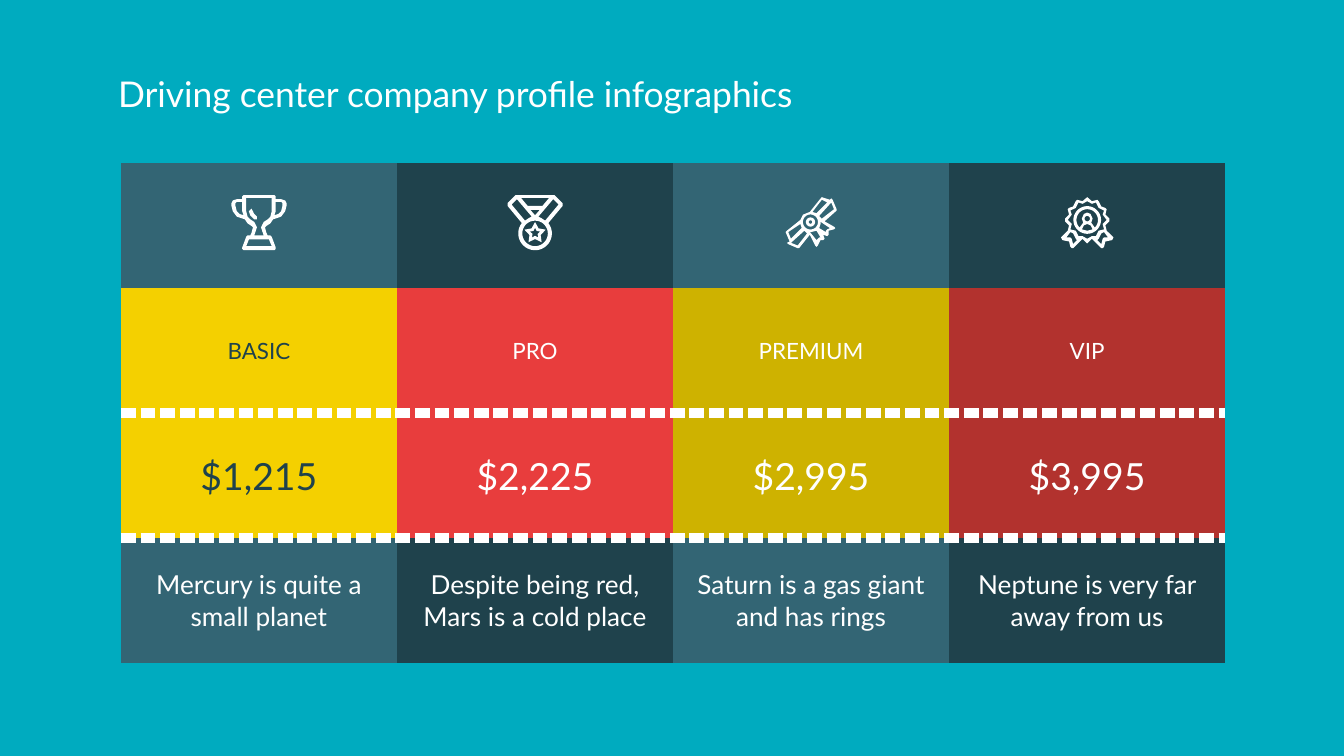
import math
from dataclasses import dataclass

from lxml import etree
from pptx import Presentation
from pptx.dml.color import RGBColor
from pptx.enum import text as t
from pptx.oxml import ns
from pptx.util import Pt


@dataclass(frozen=True)
class Theme:
    font: str = "Lato"
    back: str = "00ABBF"
    white: str = "FFFFFF"
    dark: str = "1F424C"
    slate: str = "336574"
    title: float = 19
    label: float = 12
    price: float = 20
    note: float = 14
    pad: float = 7.2
    dash: float = 6
    unit: float = 0.72  # points in one step of the icon grid


T = Theme()
NOGRID = "{2D5ABB26-0587-4C30-8999-92F81FD0307C}"

# Plan: name, price, note, accent, accent text, neutral
PLANS = [
    ("BASIC", "$1,215", "Mercury is quite a small planet", "F4D000", T.dark, T.slate),
    ("PRO", "$2,225", "Despite being red, Mars is a cold place", "E83D3D", T.white, T.dark),
    ("PREMIUM", "$2,995", "Saturn is a gas giant and has rings", "CEB200", T.white, T.slate),
    ("VIP", "$3,995", "Neptune is very far away from us", "B2322E", T.white, T.dark),
]


def color(code):
    return RGBColor.from_string(code)


def write(frame, words, size=T.note, ink=T.white, align=t.PP_ALIGN.LEFT):
    frame.word_wrap = True
    para = frame.paragraphs[0]
    para.alignment = align
    run = para.add_run()
    run.text = words
    run.font.name, run.font.size = T.font, Pt(size)
    run.font.color.rgb = color(ink)


# Outline helpers, in grid steps
def arc(x, y, r, start=0, end=360, count=36):
    turns = [math.radians(start + (end - start) * i / count) for i in range(count + 1)]
    return [(x + r * math.cos(a), y + r * math.sin(a)) for a in turns]


def star(x, y, big, small):
    return [arc(x, y, small if i % 2 else big, -90 + 36 * i, count=1)[0]
            for i in range(10)]


def flip(half, wide):
    return [(wide - x, y) for x, y in reversed(half)]


def both(half, wide):
    return half + flip(half, wide)


def pair(side, wide):
    return [side, flip(side, wide)]


# Each icon is a list of parts, each part a list of closed outlines
def trophy(w=41):
    rim = [(9, 0), (8, 1), (8, 3), (4, 3), (1, 4), (0, 6), (0, 8), (1, 12), (4, 16),
           (10, 18), (12, 21), (15, 23), (16, 24), (15, 28), (14, 30), (12, 30),
           (11, 31), (8, 39), (8, 40), (9, 41)]
    cup = [(11, 2), (11, 12), (12, 16), (14, 18), (17, 20), (18, 22), (19, 24),
           (18, 27), (17, 30)]
    ear = [(8, 5), (8, 12), (9, 15), (6, 14), (4, 12), (3, 8), (3, 6), (4, 5)]
    foot = [(13, 33), (11, 38)]
    glint = [(15, 10), (13, 12), (14, 15), (17, 18), (19, 18), (19, 16), (17, 14), (16, 12)]
    return [[glint], [both(rim, w), both(cup, w), both(foot, w), *pair(ear, w)]]


def medal(w=41):
    mid = w / 2
    rim = [(7, 0), (6, 0), (0, 6), (0, 8)] + arc(mid, 28.5, 12.5, 218, 90)
    band = [(7, 3), (18, 16), (16, 17), (13, 19), (3, 7)]
    knot = [(17, 11), (24, 11), (mid, 15)]
    stars = [star(mid, 28.3, 8.3, 4.4), star(mid, 28.3, 4, 2)]
    return [stars, [both(rim, w), both([(10, 2), (15, 8)], w), knot,
                    arc(mid, 28.5, 9.5), *pair(band, w)]]


def scroll():
    rim = [(27, 0), (26, 1), (18, 11), (13, 13), (11, 17), (1, 25), (0, 26), (3, 33),
           (1, 34), (2, 35), (9, 38), (10, 38), (18, 28), (22, 36), (23, 37), (24, 36),
           (26, 32), (28, 32), (29, 31), (28, 28), (31, 29), (32, 28), (32, 25),
           (36, 24), (37, 23), (36, 22), (29, 18), (38, 10), (38, 9), (35, 2), (34, 1),
           (33, 2)]
    holes = [
        [(27, 2), (31, 4), (23, 12), (20, 11)],
        [(34, 4), (36, 9), (27, 16), (25, 14)],
        [(26, 18), (27, 19), (33, 23), (31, 24), (30, 25), (30, 26), (25, 23), (26, 20)],
        [(11, 20), (12, 23), (4, 31), (2, 26)],
        [(23, 25), (26, 30), (25, 30), (24, 31), (23, 32), (19, 27), (18, 26), (19, 26)],
        [(14, 25), (16, 27), (9, 36), (4, 34)],
    ]
    seal = [arc(18.5, 18.5, 3.4), arc(18.5, 18.5, 1.3)]
    return [[rim, arc(18.5, 18.5, 5.6), *holes], seal]


def badge(w=39):
    mid = w / 2
    space = arc(mid, 17, 8, 270, 135) + [(16.5, 19), (15.5, 16), (17, 12.5), (mid, 11.5)]
    chest = [(mid, 20), (17, 21), (15.5, 24), (mid, 25)]
    person = [arc(mid, 17, 10.3), both(space, w), both(chest, w), arc(mid, 16, 2)]
    rim = [(mid, 0), (16, 3), (12, 2), (11, 3), (9, 7), (6, 8), (5, 9), (6, 13), (3, 16),
           (3, 18), (6, 21), (5, 25), (0, 30), (1, 32), (6, 33), (7, 37), (8, 38),
           (9, 38), (15, 32), (16, 31), (mid, 34.5)]
    face = [(mid, 3), (16, 5), (13, 4), (11, 8), (7, 10), (8, 13), (5, 17), (8, 20),
            (7, 24), (11, 25), (13, 29), (16, 29), (mid, 31)]
    tail = [(7, 26), (9, 27), (11, 31), (12, 32), (9, 35), (8, 31), (7, 30), (4, 30)]
    return [person, [both(rim, w), both(face, w), *pair(tail, w)]]


def icon(slide, parts, x, y):
    """Draw an icon centred on x, y."""
    spots = [p for part in parts for line in part for p in line]
    left = x - T.unit * max(p[0] for p in spots) / 2
    top = y - T.unit * max(p[1] for p in spots) / 2
    group = slide.shapes.add_group_shape()
    for part in parts:
        pen = None
        for line in part:
            first, *rest = [(Pt(a * T.unit), Pt(b * T.unit)) for a, b in line]
            if pen is None:
                pen = group.shapes.build_freeform(*first)
            else:
                pen.move_to(*first)
            pen.add_line_segments(rest, close=True)
        shape = pen.convert_to_shape(Pt(left), Pt(top))
        shape.shadow.inherit = False
        shape.fill.solid()
        shape.fill.fore_color.rgb = color(T.white)
        shape.line.fill.background()


def border(cell, side):
    """Put a dashed white line on one side of a cell."""
    line = etree.Element(ns.qn("a:" + side), w=str(Pt(T.dash)))
    fill = etree.SubElement(line, ns.qn("a:solidFill"))
    etree.SubElement(fill, ns.qn("a:srgbClr"), val=T.white)
    etree.SubElement(line, ns.qn("a:prstDash"), val="dash")
    cell._tc.get_or_add_tcPr().insert(0, line)


def heading(slide, x, y, w, h):
    box = slide.shapes.add_textbox(Pt(x), Pt(y), Pt(w), Pt(h))
    frame = box.text_frame
    frame.margin_left = frame.margin_right = Pt(T.pad)
    frame.margin_top = frame.margin_bottom = Pt(T.pad)
    write(frame, "Driving center company profile infographics", size=T.title)


def prices(slide, x, y, w, h):
    frame = slide.shapes.add_table(4, len(PLANS), Pt(x), Pt(y), Pt(w), Pt(h))
    table = frame.table
    table.first_row = table.horz_banding = False
    table._tbl.tblPr.find(ns.qn("a:tableStyleId")).text = NOGRID
    wide, high = w / len(PLANS), h / 4
    for row in table.rows:
        row.height = Pt(high)
    for col, (name, price, note, accent, ink, plain) in enumerate(PLANS):
        table.columns[col].width = Pt(wide)
        rows = [("", T.note, T.white, plain, None), (name, T.label, ink, accent, "lnB"),
                (price, T.price, ink, accent, "lnT"), (note, T.note, T.white, plain, None)]
        for row, (words, size, tint, fill, side) in enumerate(rows):
            cell = table.cell(row, col)
            cell.fill.solid()
            cell.fill.fore_color.rgb = color(fill)
            cell.vertical_anchor = t.MSO_ANCHOR.MIDDLE
            cell.margin_left = cell.margin_right = Pt(T.pad)
            cell.margin_top = cell.margin_bottom = Pt(T.pad)
            if words:
                write(cell.text_frame, words, size=size, ink=tint, align=t.PP_ALIGN.CENTER)
            if side:
                border(cell, side)
    # Icons in the top row
    for col, draw in enumerate((trophy, medal, scroll, badge)):
        icon(slide, draw(), x + (col + 0.5) * wide, y + high / 2 - 1.5)


def main():
    deck = Presentation()
    deck.slide_width, deck.slide_height = Pt(720), Pt(405)
    slide = deck.slides.add_slide(deck.slide_layouts[6])
    slide.background.fill.solid()
    slide.background.fill.fore_color.rgb = color(T.back)
    heading(slide, 56.2, 31.7, 607.7, 45.4)
    prices(slide, 64.8, 87.3, 591.6, 268)
    deck.save("out.pptx")


if __name__ == "__main__":
    main()
